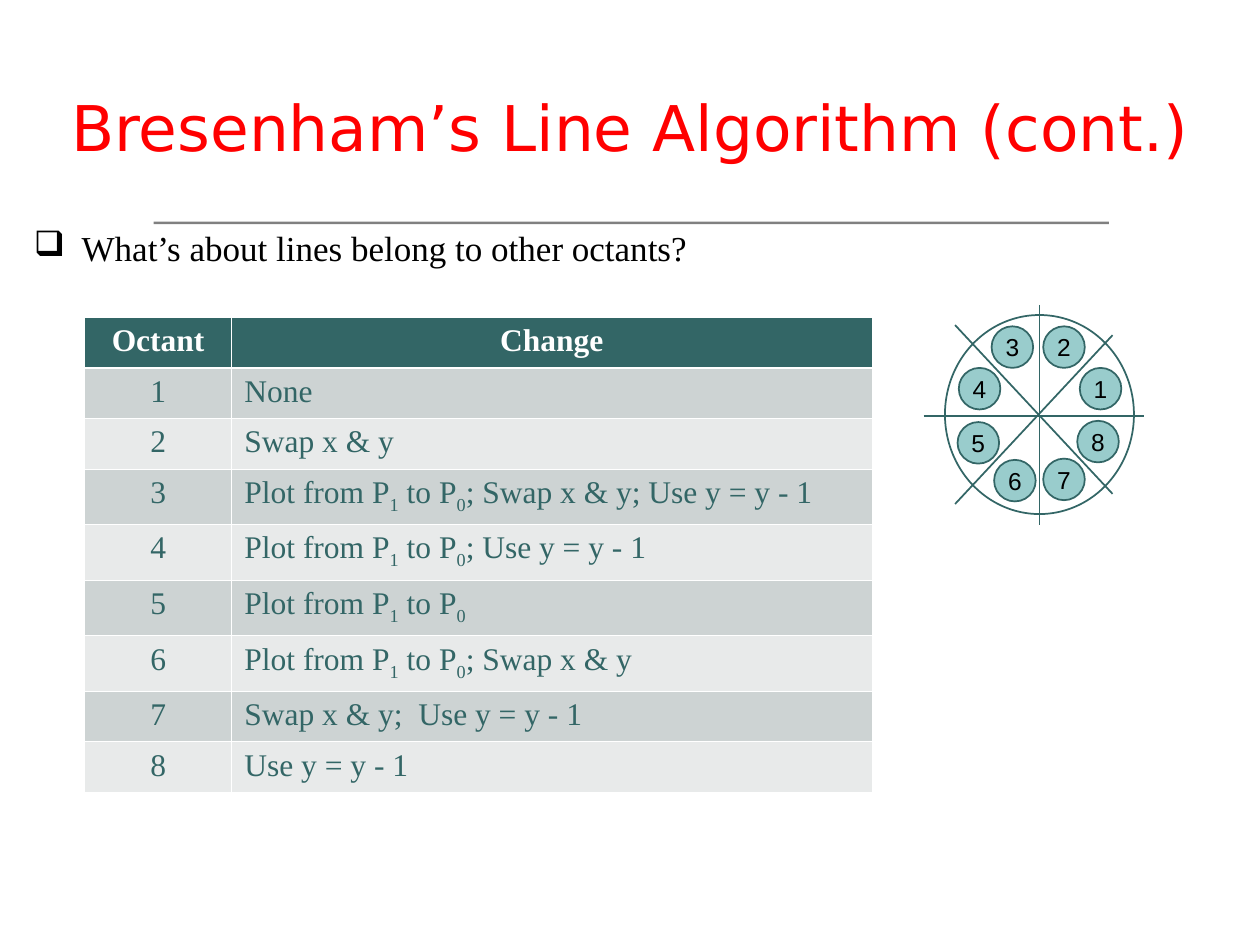
from lxml import etree
from pptx import Presentation
from pptx.dml.color import RGBColor
from pptx.enum import shapes, text
from pptx.oxml import ns
from pptx.util import Inches, Pt

TITLE = "Bresenham’s Line Algorithm (cont.)"
QUESTION = "What’s about lines belong to other octants?"
HEADER = ("Octant", "Change")
# An underscore lowers the character after it.
CHANGES = [
    "None",
    "Swap x & y",
    "Plot from P_1 to P_0; Swap x & y; Use y = y - 1",
    "Plot from P_1 to P_0; Use y = y - 1",
    "Plot from P_1 to P_0",
    "Plot from P_1 to P_0; Swap x & y",
    "Swap x & y;  Use y = y - 1",
    "Use y = y - 1",
]
COLUMN_WIDTHS = (1.17, 5.08)
PLAIN_ROW, SUBSCRIPT_ROW = 0.4, 0.44

AXES = [
    (8.25, 2.42, 8.25, 4.17),
    (7.33, 3.3, 9.08, 3.3),
    (7.58, 4, 8.83, 2.66),
    (7.58, 2.58, 8.83, 3.92),
]
MARKER_SIZE = 0.33
MARKERS = [(8.57, 2.92), (8.28, 2.59), (7.87, 2.59), (7.61, 2.92),
           (7.6, 3.35), (7.89, 3.65), (8.28, 3.64), (8.55, 3.34)]

SERIF, SANS, TITLE_FONT = "Times New Roman", "Arial", "DejaVu Sans"
BLACK, WHITE, RED, GREY = "000000", "FFFFFF", "FF0000", "808080"
TEAL, AQUA = "336666", "99CCCC"
BANDS = ("CDD3D3", "E8EAEA")


def paint(fill, color):
    fill.solid()
    fill.fore_color.rgb = RGBColor.from_string(color)


def add_span(para, words, font, size, color, bold=False):
    span = para.add_run()
    span.text = words
    span.font.name, span.font.size, span.font.bold = font, Pt(size), bold
    span.font.color.rgb = RGBColor.from_string(color)
    return span


def set_insets(frame, side, vertical):
    frame.margin_left = frame.margin_right = Inches(side)
    frame.margin_top = frame.margin_bottom = Inches(vertical)


def add_figure(parent, kind, place, fill=None, line=None):
    figure = parent.add_shape(kind, *map(Inches, place))
    figure.shadow.inherit = False
    if fill:
        paint(figure.fill, fill)
    else:
        figure.fill.background()
    if line:
        paint(figure.line.fill, line)
        figure.line.width = Pt(1)
    else:
        figure.line.fill.background()
    return figure


def add_title(page):
    title = page.shapes.title
    title.left, title.top, title.width, title.height = map(Inches, (0, 0.5, 10, 1))
    title.text_frame.vertical_anchor = text.MSO_ANCHOR.MIDDLE
    para = title.text_frame.paragraphs[0]
    para.alignment = text.PP_ALIGN.CENTER
    add_span(para, TITLE, TITLE_FONT, 36, RED)


def add_question(page):
    box = page.shapes.add_textbox(*map(Inches, (0.17, 1.75, 9.67, 5.58)))
    box.text_frame.word_wrap = True
    para = box.text_frame.paragraphs[0]
    para.alignment = text.PP_ALIGN.JUSTIFY
    props = para._p.get_or_add_pPr()
    props.set("marL", str(Inches(0.38)))
    props.set("indent", str(-Inches(0.38)))
    color = etree.SubElement(props, ns.qn("a:buClr"))
    etree.SubElement(color, ns.qn("a:srgbClr"), val=BLACK)
    etree.SubElement(props, ns.qn("a:buChar"), char="❑")
    add_span(para, QUESTION, SERIF, 20, BLACK)


def add_borders(cell, widths):
    props = cell._tc.get_or_add_tcPr()
    for side, width in zip("LRTB", widths):
        border = etree.SubElement(props, ns.qn("a:ln" + side), w=str(Pt(width)))
        solid = etree.SubElement(border, ns.qn("a:solidFill"))
        etree.SubElement(solid, ns.qn("a:srgbClr"), val=WHITE)


def add_changes_table(page):
    rows = [HEADER] + [(str(n), change) for n, change in enumerate(CHANGES, 1)]
    heights = [SUBSCRIPT_ROW if "_" in change else PLAIN_ROW for _, change in rows]
    place = (0.67, 2.52, sum(COLUMN_WIDTHS), sum(heights))
    table = page.shapes.add_table(len(rows), 2, *map(Inches, place)).table
    for column, width in zip(table.columns, COLUMN_WIDTHS):
        column.width = Inches(width)
    for r, (row, height) in enumerate(zip(rows, heights)):
        table.rows[r].height = Inches(height)
        head = r == 0
        for c, words in enumerate(row):
            cell = table.cell(r, c)
            set_insets(cell, 0.1, 0.05)
            add_borders(cell, (0.45, 0.45, 1.47 if r == 1 else 0.45,
                               1.47 if head else 0.45))
            paint(cell.fill, TEAL if head else BANDS[(r - 1) % 2])
            para = cell.text_frame.paragraphs[0]
            centred = head or c == 0
            para.alignment = text.PP_ALIGN.CENTER if centred else text.PP_ALIGN.LEFT
            style = (SERIF, 18, WHITE if head else TEAL, head)
            first, *rest = words.split("_")
            add_span(para, first, *style)
            for piece in rest:
                lowered = add_span(para, piece[0], *style)
                lowered.font._element.set("baseline", "-25000")
                if piece[1:]:
                    add_span(para, piece[1:], *style)


def add_octant_diagram(page):
    group = page.shapes.add_group_shape().shapes
    oval = shapes.MSO_SHAPE.OVAL
    add_figure(group, oval, (7.5, 2.5, 1.5, 1.58), line=TEAL)
    for ends in AXES:
        axis = group.add_connector(shapes.MSO_CONNECTOR.STRAIGHT, *map(Inches, ends))
        paint(axis.line.fill, TEAL)
        axis.line.width = Pt(1)
        etree.SubElement(axis._element.spPr, ns.qn("a:effectLst"))
    for number, (left, top) in enumerate(MARKERS, 1):
        marker = add_figure(group, oval, (left, top, MARKER_SIZE, MARKER_SIZE), AQUA, TEAL)
        frame = marker.text_frame
        frame.word_wrap = False
        frame.vertical_anchor = text.MSO_ANCHOR.MIDDLE
        set_insets(frame, 0, 0)
        frame.paragraphs[0].alignment = text.PP_ALIGN.CENTER
        add_span(frame.paragraphs[0], str(number), SANS, 14, BLACK)


def main():
    deck = Presentation()
    deck.slide_width, deck.slide_height = Inches(10), Inches(7.5)
    page = deck.slides.add_slide(deck.slide_layouts[5])
    add_figure(page.shapes, shapes.MSO_SHAPE.RECTANGLE, (1.22, 1.76, 7.58, 0.02), GREY)
    add_title(page)
    add_question(page)
    add_octant_diagram(page)
    add_changes_table(page)
    deck.save("out.pptx")


if __name__ == "__main__":
    main()
